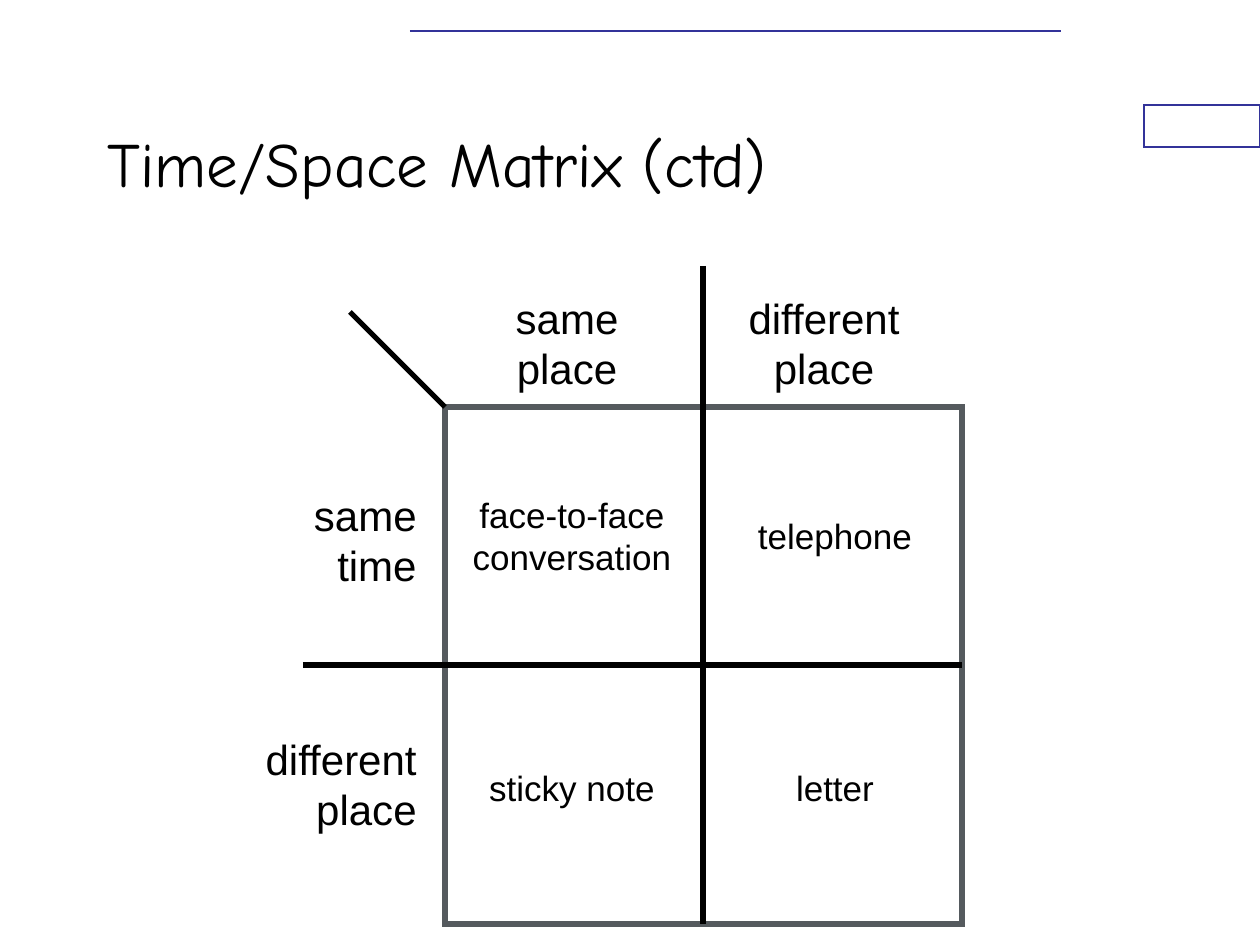
from pptx import Presentation
from pptx import util as u
from pptx.dml.color import RGBColor
from pptx.enum import shapes, text
from pptx.oxml.ns import qn
from lxml import etree

# Content: wording, centre x, centre y, width (px)
TITLE = "Time/Space Matrix (ctd)"
COLUMN_LABELS = [("same\vplace", 567, 343, 132), ("different\vplace", 824, 343, 180)]
ROW_LABELS = [("same\vtime", 363, 540, 132), ("different\vplace", 339, 784, 180)]
CELLS = [
    ("face-to-face\vconversation", 572, 536, 228),
    ("telephone", 835, 536, 184),
    ("sticky note", 572, 788, 200),
    ("letter", 835, 788, 108),
]
COLORS = {"ink": "000000", "frame": "555A5E", "accent": "333399", "paper": "FFFFFF"}
LABEL_SIZE, CELL_SIZE = 24, 20

# Geometry in px
PX = u.Inches(1) / 126
GRID_LEFT, GRID_TOP, GRID_SIDE = 445, 407, 517
GRID_RIGHT, GRID_BOTTOM = GRID_LEFT + GRID_SIDE, GRID_TOP + GRID_SIDE
MID_X, MID_Y = GRID_LEFT + 258, GRID_TOP + 258
DIVIDERS = [
    (303, MID_Y, GRID_RIGHT, MID_Y),
    (MID_X, 266, MID_X, GRID_BOTTOM),
    (GRID_LEFT, GRID_TOP, 350, 312),
]


def emu(*lengths):
    return [round(length * PX) for length in lengths]


def color(name):
    return RGBColor.from_string(COLORS[name])


def add_box(slide, place, line_color, points):
    box = slide.shapes.add_shape(shapes.MSO_SHAPE.RECTANGLE, *emu(*place))
    box.shadow.inherit = False
    box.fill.solid()
    box.fill.fore_color.rgb = color("paper")
    box.line.color.rgb = color(line_color)
    box.line.width = u.Pt(points)
    # Square corners
    outline = box._element.spPr.find(qn("a:ln"))
    etree.SubElement(outline, qn("a:miter"), lim="800000")


def add_line(slide, ends, line_color, points):
    line = slide.shapes.add_connector(shapes.MSO_CONNECTOR.STRAIGHT, *emu(*ends))
    line.line.color.rgb = color(line_color)
    line.line.width = u.Pt(points)
    etree.SubElement(line._element.spPr, qn("a:effectLst"))


def write(frame, wording, font_name, size, align):
    frame.text = wording
    paragraph = frame.paragraphs[0]
    paragraph.alignment = align
    for run in paragraph.runs:
        run.font.name = font_name
        run.font.size = u.Pt(size)
        run.font.color.rgb = color("ink")


def add_texts(slide, entries, size, align):
    for wording, center_x, center_y, width in entries:
        lines = wording.count("\v") + 1
        height = lines * size * 2.1 + 13
        place = center_x - width / 2, center_y - height / 2, width, height
        frame = slide.shapes.add_textbox(*emu(*place)).text_frame
        frame.word_wrap = False
        frame.auto_size = text.MSO_AUTO_SIZE.SHAPE_TO_FIT_TEXT
        write(frame, wording, "Arial", size, align)


def main():
    deck = Presentation()
    deck.slide_width, deck.slide_height = emu(1260, 945)
    slide = deck.slides.add_slide(deck.slide_layouts[5])

    # Page decoration
    add_box(slide, (1144, 105, 116, 42), "accent", 0.75)
    add_line(slide, (410, 31, 1061, 31), "accent", 1)

    # Title
    title = slide.shapes.title
    title.left, title.top, title.width, title.height = emu(95, 84, 945, 157)
    title.text_frame.vertical_anchor = text.MSO_ANCHOR.MIDDLE
    write(title.text_frame, TITLE, "Comic Neue", 36, text.PP_ALIGN.LEFT)

    # Matrix frame and dividers
    add_box(slide, (GRID_LEFT, GRID_TOP, GRID_SIDE, GRID_SIDE), "frame", 3)
    for ends in DIVIDERS:
        add_line(slide, ends, "ink", 3)

    # Labels and cell contents
    add_texts(slide, COLUMN_LABELS, LABEL_SIZE, text.PP_ALIGN.CENTER)
    add_texts(slide, ROW_LABELS, LABEL_SIZE, text.PP_ALIGN.RIGHT)
    add_texts(slide, CELLS, CELL_SIZE, text.PP_ALIGN.CENTER)

    deck.save("out.pptx")


if __name__ == "__main__":
    main()
